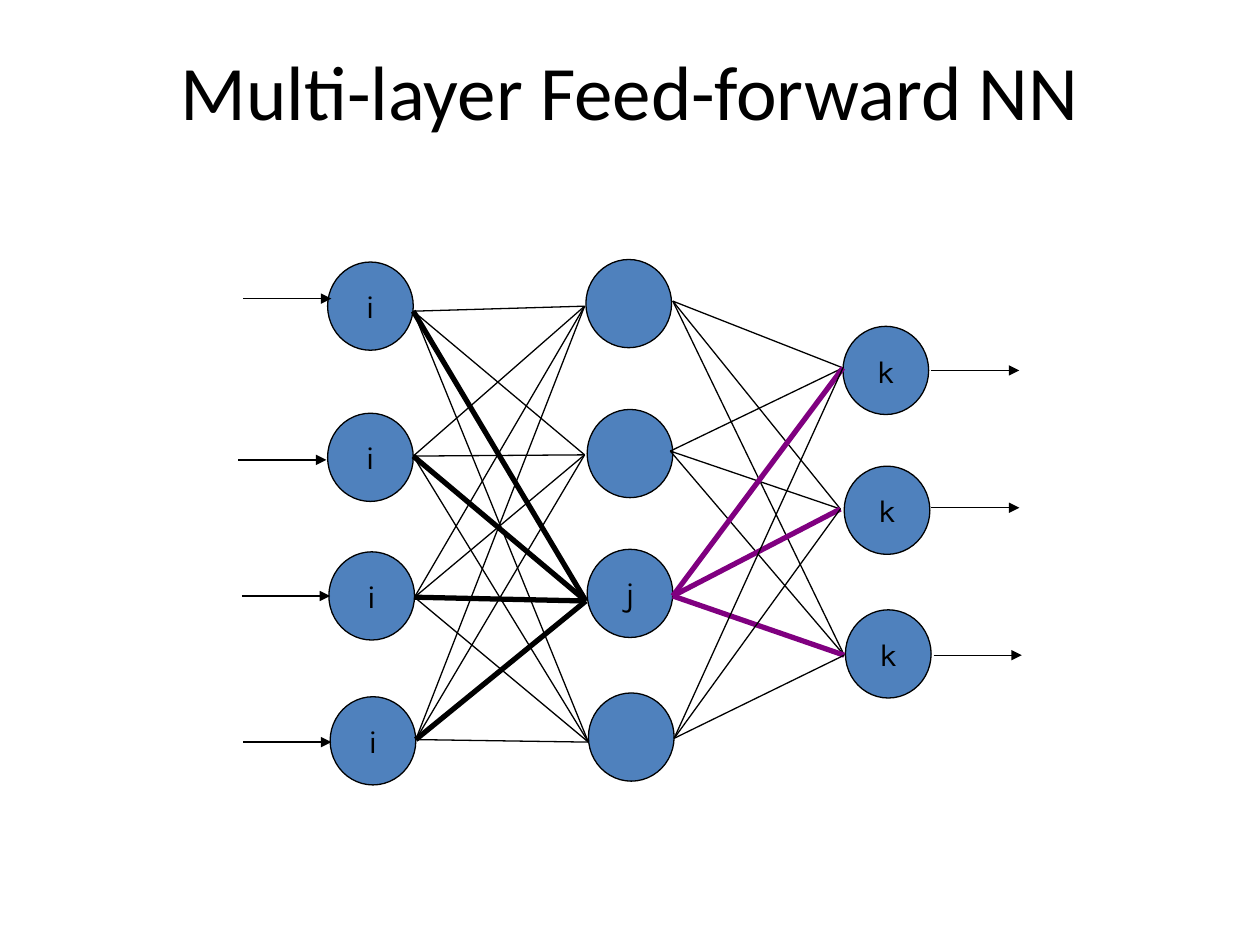
from itertools import product

from lxml.etree import SubElement
from pptx import Presentation
from pptx.dml.color import RGBColor
from pptx.enum.shapes import MSO_CONNECTOR, MSO_SHAPE
from pptx.enum.text import MSO_ANCHOR, PP_ALIGN
from pptx.oxml.ns import qn
from pptx.util import Inches, Pt

BLACK = RGBColor(0x00, 0x00, 0x00)
BLUE = RGBColor(0x4F, 0x81, 0xBD)
PURPLE = RGBColor(0x80, 0x00, 0x80)

presentation = Presentation()
presentation.slide_width = Inches(10)
presentation.slide_height = Inches(7.5)
slide = presentation.slides.add_slide(presentation.slide_layouts[6])


def add_line(x1, y1, x2, y2, color=BLACK, width=0.75, arrow=False):
    connector = slide.shapes.add_connector(
        MSO_CONNECTOR.STRAIGHT, Inches(x1), Inches(y1), Inches(x2), Inches(y2)
    )
    connector.line.color.rgb = color
    connector.line.width = Pt(width)
    if arrow:
        SubElement(connector.line._get_or_add_ln(), qn("a:tailEnd"), type="triangle")
    SubElement(connector._element.spPr, qn("a:effectLst"))


def write_text(shape, text, font_name, size):
    paragraph = shape.text_frame.paragraphs[0]
    paragraph.text = text
    paragraph.alignment = PP_ALIGN.CENTER
    paragraph.font.name = font_name
    paragraph.font.size = Pt(size)
    paragraph.font.color.rgb = BLACK


title = slide.shapes.add_textbox(Inches(0.5), Inches(0.3), Inches(9), Inches(1.25))
title.text_frame.word_wrap = True
write_text(title, "Multi-layer Feed-forward NN", "Calibri", 44)

nodes = [
    ("i", 2.6, 2.08), ("i", 2.6, 3.28), ("i", 2.61, 4.38), ("i", 2.62, 5.53),
    ("", 4.65, 2.06), ("", 4.66, 3.25), ("j", 4.66, 4.36), ("", 4.67, 5.5),
    ("k", 6.69, 2.59), ("k", 6.7, 3.7), ("k", 6.71, 4.84),
]
for label, left, top in nodes:
    node = slide.shapes.add_shape(
        MSO_SHAPE.OVAL, Inches(left), Inches(top), Inches(0.68), Inches(0.7)
    )
    node.shadow.inherit = False
    node.fill.solid()
    node.fill.fore_color.rgb = BLUE
    node.line.color.rgb = BLACK
    node.line.width = Pt(0.75)
    if label:
        node.text_frame.word_wrap = False
        node.text_frame.vertical_anchor = MSO_ANCHOR.MIDDLE
        write_text(node, label, "Karla", 18)

arrow_starts = [
    (1.93, 2.37), (1.89, 3.65), (1.92, 4.73), (1.93, 5.89),
    (7.39, 2.94), (7.39, 4.03), (7.41, 5.2),
]
for x, y in arrow_starts:
    add_line(x, y, x + 0.7, y, arrow=True)

input_exits = [(3.28, 2.47), (3.28, 3.62), (3.29, 4.74), (3.3, 5.87)]
hidden_entries = [(4.64, 2.43), (4.64, 3.61), (4.65, 4.77), (4.67, 5.89)]
hidden_exits = [(5.34, 2.39), (5.32, 3.58), (5.34, 4.73), (5.35, 5.86)]
output_entries = [(6.69, 2.92), (6.67, 4.04), (6.7, 5.2)]
node_j = 2

for start, (index, end) in product(input_exits, enumerate(hidden_entries)):
    add_line(*start, *end, width=3 if index == node_j else 0.75)

for (index, start), end in product(enumerate(hidden_exits), output_entries):
    if index == node_j:
        add_line(*start, *end, color=PURPLE, width=3)
    else:
        add_line(*start, *end)

presentation.save("out.pptx")
